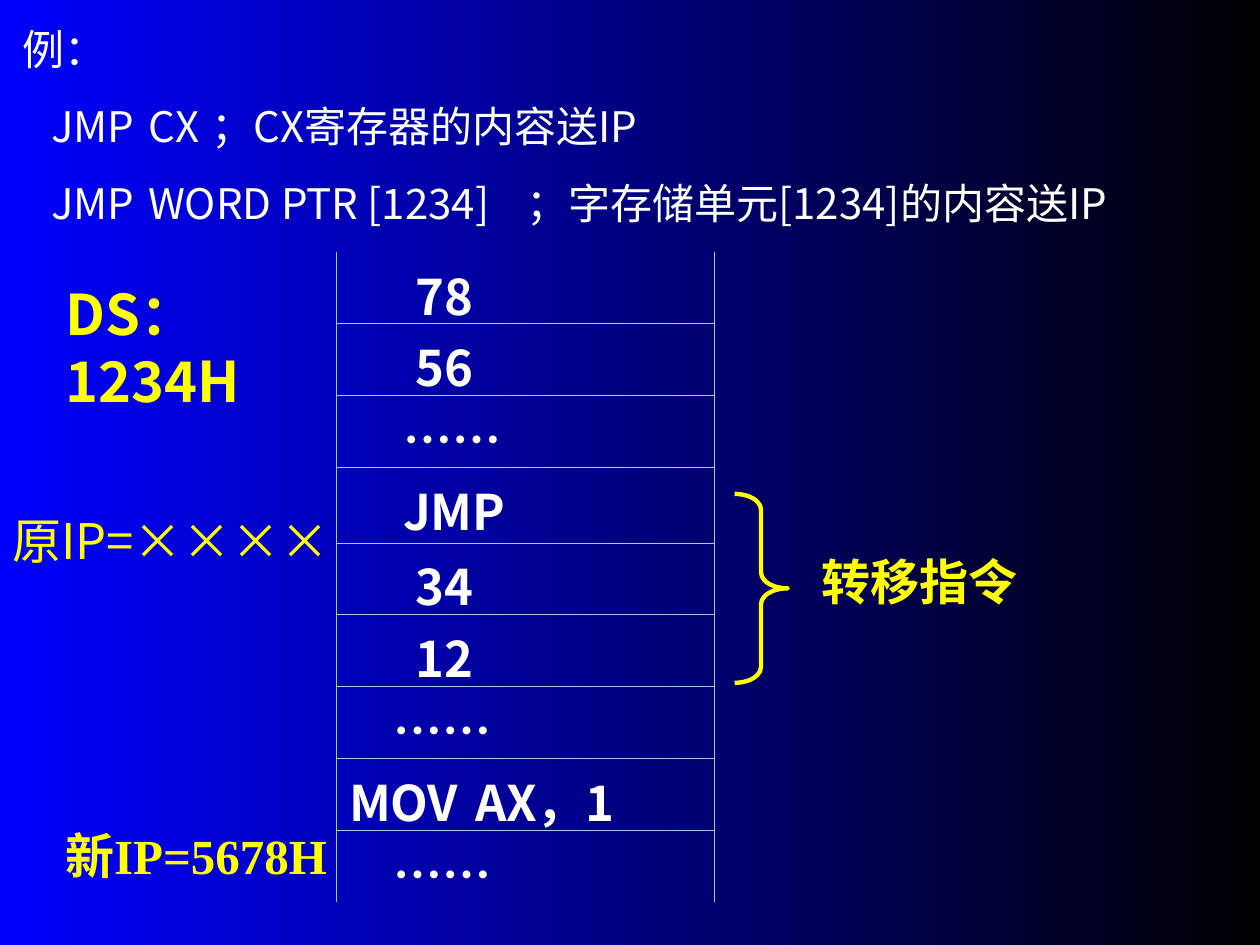
from lxml.etree import SubElement
from pptx import Presentation
from pptx.dml.color import RGBColor
from pptx.enum.shapes import MSO_SHAPE
from pptx.oxml.ns import qn
from pptx.util import Inches, Pt

WHITE = RGBColor(0xFF, 0xFF, 0xFF)
YELLOW = RGBColor(0xFF, 0xFF, 0x00)
BLUE = RGBColor(0x00, 0x00, 0xFF)
BLACK = RGBColor(0x00, 0x00, 0x00)
GRID = RGBColor(0x99, 0xCC, 0xFF)
SANS = "Noto Sans CJK SC"
SERIF = "Times New Roman"


def write(frame, text, size=28, color=YELLOW, font=SANS, bold=True,
          indent=0, tabs=(), before=0, new=False):
    para = frame.add_paragraph() if new else frame.paragraphs[0]
    props = para._p.get_or_add_pPr()
    props.set("marL", "0")
    props.set("indent", str(Inches(indent)))
    if tabs:
        stops = SubElement(props, qn("a:tabLst"))
        for stop in tabs:
            SubElement(stops, qn("a:tab"), pos=str(Inches(stop)), algn="l")
    para.space_before = Pt(before)
    para.font.size = Pt(size)
    span = para.add_run()
    span.text = text
    span.font.size = Pt(size)
    span.font.bold = bold
    span.font.color.rgb = color
    span.font.name = font
    SubElement(span._r.get_or_add_rPr(), qn("a:ea"), typeface=SANS)


def add_box(page, left, top, width, height):
    box = page.shapes.add_textbox(Inches(left), Inches(top), Inches(width), Inches(height))
    box.text_frame.word_wrap = True
    return box.text_frame


deck = Presentation()
deck.slide_width, deck.slide_height = Inches(10), Inches(7.5)
page = deck.slides.add_slide(deck.slide_layouts[6])

# Background fading from blue to black
fill = page.background.fill
fill.gradient()
fill.gradient_angle = 180
for stop, color in zip(fill.gradient_stops, (BLACK, BLUE)):
    stop.color.rgb = color

# Example instructions
examples = add_box(page, 0.08, 0.14, 10, 1.72)
write(examples, "例：", size=24, color=WHITE, bold=False)
for text, tabs in (
    ("JMP\tCX\t；CX寄存器的内容送IP", (1.02, 2.41)),
    ("JMP\tWORD PTR [1234]\t；字存储单元[1234]的内容送IP", (1.02, 3.97)),
):
    write(examples, text, size=24, color=WHITE, bold=False, indent=0.23,
          tabs=tabs, before=15, new=True)

# Memory cells: text and indent
memory = [("78", 0.53), ("56", 0.53), ("……", 0.43), ("JMP", 0.43), ("34", 0.53),
          ("12", 0.53), ("……", 0.35), ("MOV\tAX，1", 0), ("……", 0.35)]
table = page.shapes.add_table(len(memory), 1, Inches(2.67), Inches(2),
                              Inches(3), Inches(5.16)).table
table.first_row = table.horz_banding = False
last = len(memory) - 1
for index, (text, indent) in enumerate(memory):
    table.rows[index].height = Inches(0.6 if text == "JMP" else 0.57)
    cell = table.cell(index, 0)
    write(cell.text_frame, text, color=WHITE, indent=indent,
          tabs=(1.12,) if "\t" in text else ())
    # Open at the top and bottom of the column
    props = cell._tc.get_or_add_tcPr()
    for side in ("lnL", "lnR", "lnT", "lnB"):
        line = SubElement(props, qn("a:" + side), w=str(Pt(0.45)))
        if (side, index) in (("lnT", 0), ("lnB", last)):
            SubElement(line, qn("a:noFill"))
        else:
            solid = SubElement(line, qn("a:solidFill"))
            SubElement(solid, qn("a:srgbClr"), val=str(GRID))
    cell.fill.background()

# Labels beside the memory column
write(add_box(page, 0.42, 2.17, 2.25, 1.17), "DS：1234H", size=32)
write(add_box(page, 0, 4, 3, 0.57), "原IP=××××", bold=False)
write(add_box(page, 0.42, 6.5, 2.67, 0.57), "新IP=5678H", font=SERIF)
write(add_box(page, 6.42, 4.33, 2.25, 0.57), "转移指令", font=SERIF)

# Brace around the jump instruction
brace = page.shapes.add_shape(MSO_SHAPE.RIGHT_BRACE, Inches(5.83), Inches(3.92),
                              Inches(0.42), Inches(1.5))
brace.adjustments[0] = 0.3
brace.shadow.inherit = False
brace.fill.background()
brace.line.color.rgb = YELLOW
brace.line.width = Pt(2.5)

deck.save("out.pptx")
